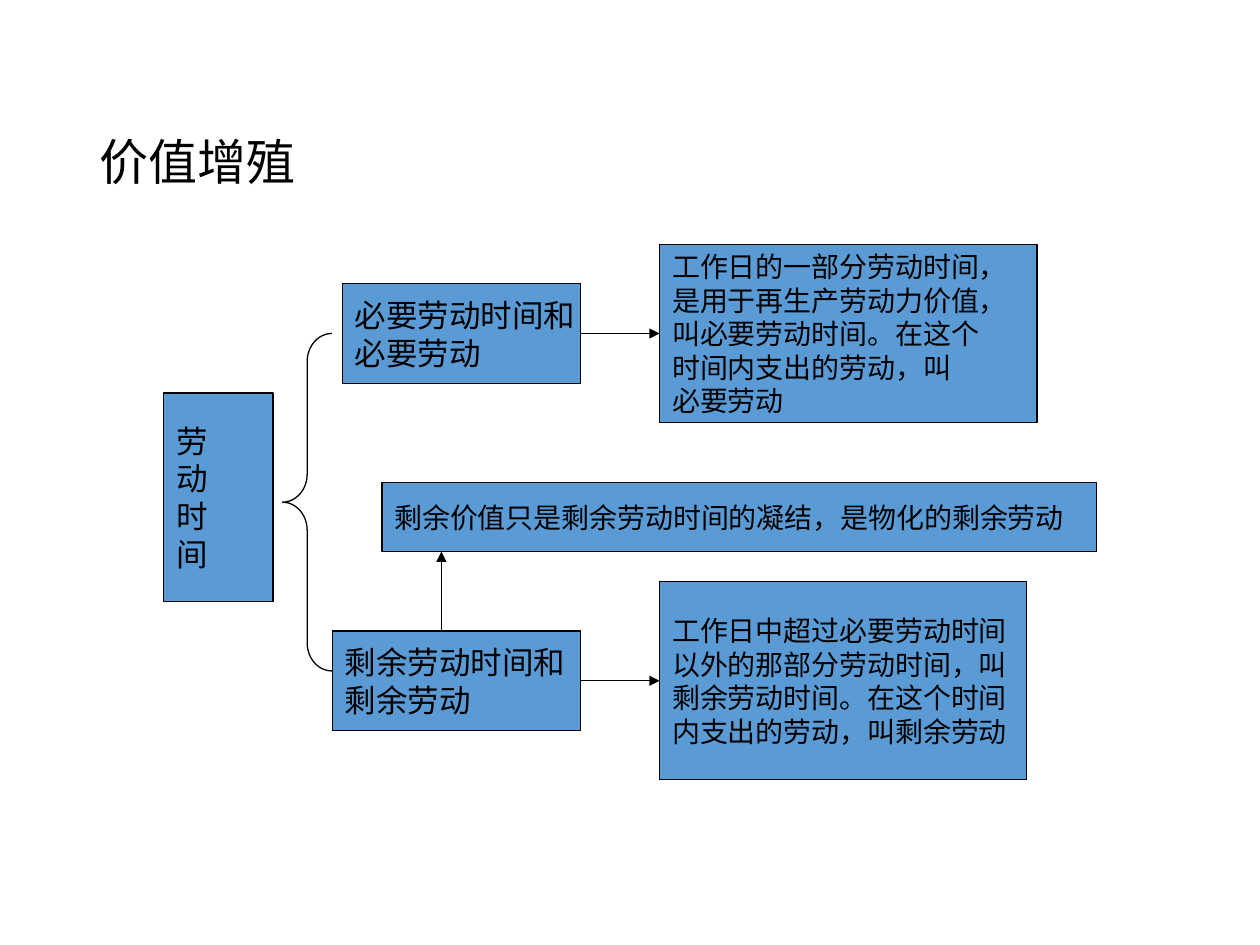
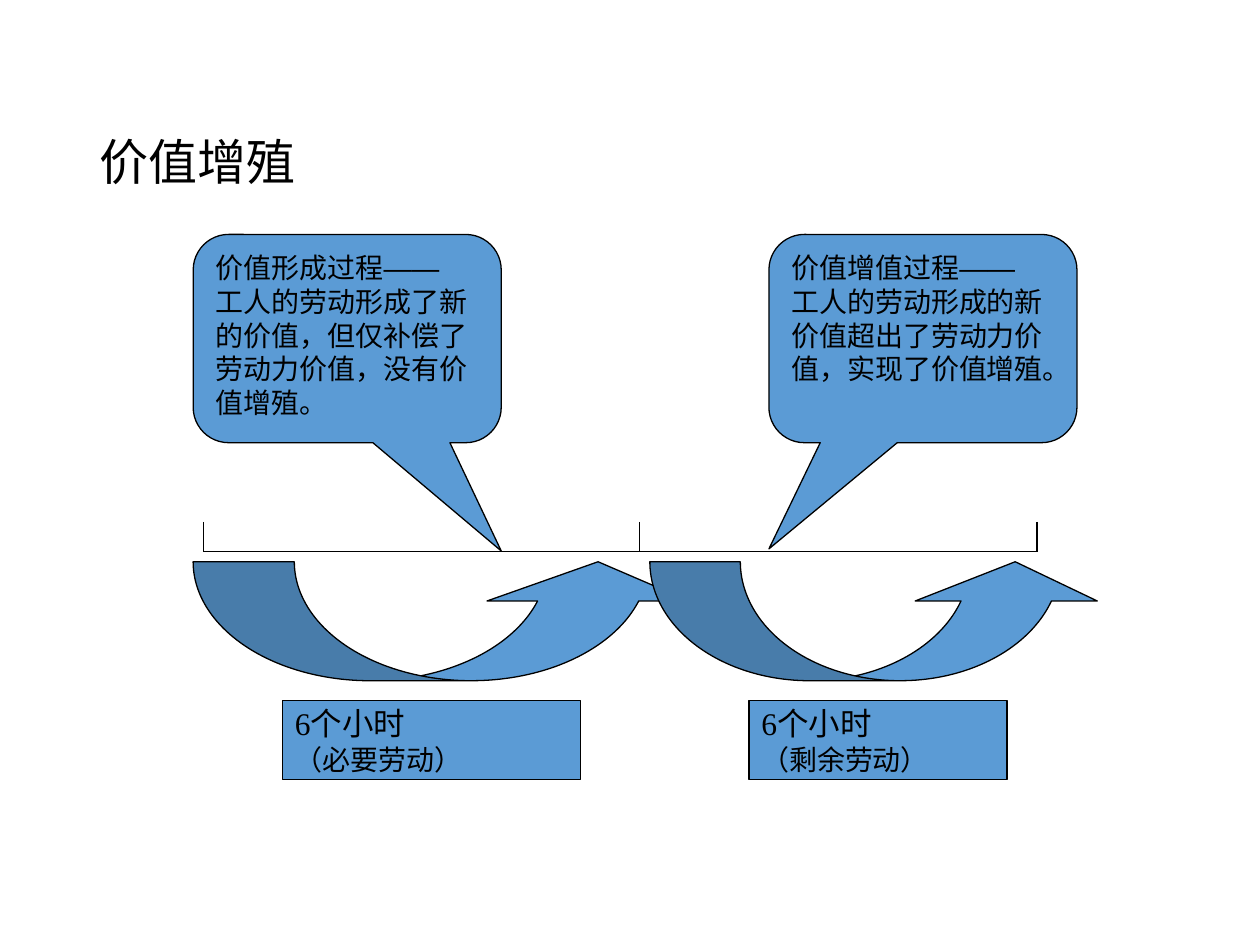
import pptx
import pptx.util
import pptx.dml.color
import pptx.enum.shapes
import pptx.enum.text
import pptx.oxml
import pptx.oxml.ns

Pt = pptx.util.Pt
KIND = pptx.enum.shapes.MSO_SHAPE
ALIGN = pptx.enum.text.PP_ALIGN
ANCHOR = pptx.enum.text.MSO_ANCHOR
BLACK = pptx.dml.color.RGBColor(0x00, 0x00, 0x00)
BLUE = pptx.dml.color.RGBColor(0x5B, 0x9B, 0xD5)
SERIF = "Times New Roman"
SANS = "Arial"
HAN = "Noto Sans CJK SC"
LINE = Pt(0.75)


def add_box(slide, kind, place, lines=(), wrap=False, adjust=(), fill=BLUE, edge=True):
    box = slide.shapes.add_shape(kind, *[Pt(n) for n in place])
    box.shadow.inherit = False
    for i, value in enumerate(adjust):
        box.adjustments[i] = value
    if fill is None:
        box.fill.background()
    else:
        box.fill.solid()
        box.fill.fore_color.rgb = fill
    if edge:
        box.line.color.rgb = BLACK
        box.line.width = LINE
    else:
        box.line.fill.background()
    frame = box.text_frame
    frame.word_wrap = wrap
    frame.vertical_anchor = ANCHOR.MIDDLE
    for i, runs in enumerate(lines):
        para = frame.paragraphs[0] if i == 0 else frame.add_paragraph()
        para.alignment = ALIGN.LEFT
        for text, size, face in runs:
            run = para.add_run()
            run.text = text
            run.font.size = Pt(size)
            run.font.name = face
            run.font.color.rgb = BLACK
            east = pptx.oxml.parse_xml(
                f'<a:ea {pptx.oxml.ns.nsdecls("a")} typeface="{SANS if face == SANS else HAN}"/>')
            run.font._element.find(pptx.oxml.ns.qn("a:latin")).addnext(east)
    return box


def add_line(slide, start, end, arrow=False):
    line = slide.shapes.add_connector(
        pptx.enum.shapes.MSO_CONNECTOR.STRAIGHT, *[Pt(n) for n in start + end])
    line.line.color.rgb = BLACK
    line.line.width = LINE
    props = line._element.spPr
    props.append(pptx.oxml.parse_xml(f'<a:effectLst {pptx.oxml.ns.nsdecls("a")}/>'))
    if arrow:
        props.find(pptx.oxml.ns.qn("a:ln")).append(pptx.oxml.parse_xml(
            f'<a:tailEnd {pptx.oxml.ns.nsdecls("a")} type="triangle"/>'))
    return line


deck = pptx.Presentation()
deck.slide_width = Pt(720)
deck.slide_height = Pt(540)
slides = []
for _ in range(2):
    slide = deck.slides.add_slide(deck.slide_layouts[6])
    title = add_box(slide, KIND.RECTANGLE, (49.7, 63.4, 452.9, 61.2),
                    [[("价值增殖", 28, HAN)]], wrap=True, fill=None, edge=False)
    title.text_frame.paragraphs[0].line_spacing = 0.9
    slides.append(slide)
tree, day = slides

add_box(tree, KIND.RECTANGLE, (93.6, 224.6, 62.4, 119),
        [[(char, 18, SERIF)] for char in "劳动时间"])
add_box(tree, KIND.LEFT_BRACE, (161.4, 190.6, 28.3, 192.8), adjust=(0.566, 0.5), fill=None)

pairs = [
    ((195.6, 162.2, 136.2, 56.8), ["必要劳动时间和", "必要劳动"],
     (377, 139.6, 215.6, 102),
     ["工作日的一部分劳动时间，", "是用于再生产劳动力价值，", "叫必要劳动时间。在这个",
      "时间内支出的劳动，叫", "必要劳动"]),
    ((190, 360.6, 141.8, 56.8), ["剩余劳动时间和", "剩余劳动"],
     (377, 332.4, 209.8, 113.2),
     ["工作日中超过必要劳动时间", "以外的那部分劳动时间，叫", "剩余劳动时间。在这个时间",
      "内支出的劳动，叫剩余劳动"]),
]
for place, name, spot, note in pairs:
    term = add_box(tree, KIND.RECTANGLE, place, [[(text, 18, SERIF)] for text in name])
    sense = add_box(tree, KIND.RECTANGLE, spot, [[(text, 16, SERIF)] for text in note])
    link = add_line(tree, (332, 190), (377, 190), arrow=True)
    link.begin_connect(term, 3)
    link.end_connect(sense, 1)
add_line(tree, (252.2, 360.6), (252.2, 315.2), arrow=True)
add_box(tree, KIND.RECTANGLE, (218.2, 275.6, 408.4, 39.6),
        [[("剩余价值只是剩余劳动时间的凝结，是物化的剩余劳动", 16, SERIF)]])

left, mid, right, base = 116.2, 365.6, 592.6, 315.2
add_line(day, (left, base), (right, base))
for x in (left, mid, right):
    add_line(day, (x, base - 17), (x, base))

halves = [
    ((110.4, 321, 289.2, 68), (0.85, 1.7, 0.33), (161.4, 170.2), "（必要劳动）",
     110.4, (0.5, 1.02, 0.17), "价值形成过程",
     "工人的劳动形成了新的价值，但仅补偿了劳动力价值，没有价值增殖。"),
    ((371.4, 321, 260.8, 68), (0.76, 1.53, 0.33), (428, 147.4), "（剩余劳动）",
     439.4, (-0.5, 1.01, 0.17), "价值增值过程",
     "工人的劳动形成的新价值超出了劳动力价值，实现了价值增殖。"),
]
for place, bend, (x, width), labor, edge, tip, head, body in halves:
    add_box(day, KIND.CURVED_UP_ARROW, place, adjust=bend)
    add_box(day, KIND.RECTANGLE, (x, 400.2, width, 45.4),
            [[("6个小时", 18, SERIF)], [(labor, 16, SERIF)]])
    call = add_box(day, KIND.ROUNDED_RECTANGULAR_CALLOUT, (edge, 134, 176, 119),
                   [[(head, 16, SERIF), ("——", 16, SANS)], [(body, 16, SERIF)]],
                   wrap=True, adjust=tip)
    call.text_frame.vertical_anchor = ANCHOR.TOP

deck.save("out.pptx")
